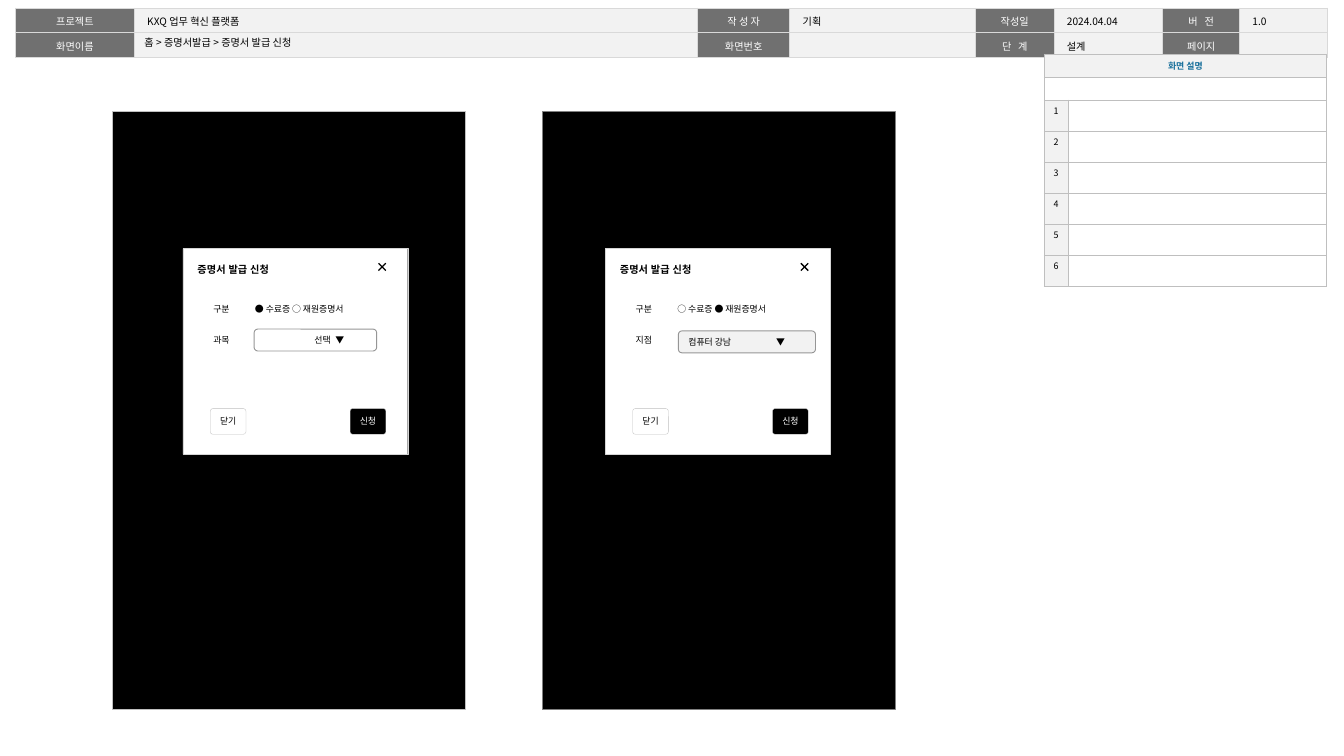
import pptx
import pptx.dml.color
import pptx.enum.shapes
import pptx.enum.text
import pptx.oxml
import pptx.oxml.ns
import pptx.util
from lxml import etree

COLORS = {
    "black": "000000", "white": "FFFFFF", "pale": "F2F2F2", "label": "707070",
    "header_line": "D9D9D9", "line": "BFBFBF", "frame": "808080",
    "dialog_line": "D5D5D5", "field_line": "969696", "heading": "176F9B",
}
SANS = "Noto Sans CJK KR"
ALIGN = pptx.enum.text.PP_ALIGN
ANCHOR = pptx.enum.text.MSO_ANCHOR
SHAPE = pptx.enum.shapes.MSO_SHAPE
TIGHT = (0.4, 0, 0.4, 0)


def color(name):
    return pptx.dml.color.RGBColor.from_string(COLORS[name])


def grid(count):
    """Length of a number of grid steps; the slide is 147 by 82.7 steps."""
    return pptx.util.Inches(count / 10)


def sub(parent, tag, **attributes):
    return etree.SubElement(parent, pptx.oxml.ns.qn(tag), attributes)


class Wireframe:
    def __init__(self, deck):
        self.page = deck.slides.add_slide(deck.slide_layouts[5])
        self.shapes = self.page.shapes

    def style(self, para, size=7, ink="black", font=SANS, bold=False, align=ALIGN.LEFT):
        para.alignment = align
        para.font.size = pptx.util.Pt(size)
        para.font.bold = bold
        para.font.name = font
        para.font.color.rgb = color(ink)
        sub(para.font._element, "a:ea", typeface=font)
        if not para.runs:
            sub(para._p, "a:endParaRPr", sz=str(size * 100))

    def frame(self, box, insets, anchor=ANCHOR.TOP, wrap=True):
        frame = box.text_frame
        frame.word_wrap = wrap
        frame.vertical_anchor = anchor
        (frame.margin_left, frame.margin_top,
         frame.margin_right, frame.margin_bottom) = map(grid, insets)
        return frame

    def title(self, text, left, top, width, height):
        """Place the title above everything drawn so far."""
        box = self.shapes.title
        box.left, box.top, box.width, box.height = map(grid, (left, top, width, height))
        frame = self.frame(box, (1.1, 0.5, 1.1, 0.5), ANCHOR.MIDDLE)
        frame.auto_size = pptx.enum.text.MSO_AUTO_SIZE.NONE
        frame.text = text
        self.style(frame.paragraphs[0], 8)
        self.shapes._spTree.append(box._element)

    def panel(self, kind, place, fill, line, weight, text="", insets=TIGHT,
              anchor=ANCHOR.MIDDLE, wrap=True, tabs=(), corner=None, **style):
        box = self.shapes.add_shape(kind, *map(grid, place))
        box.shadow.inherit = False
        box.fill.solid()
        box.fill.fore_color.rgb = color(fill)
        box.line.color.rgb = color(line)
        box.line.width = pptx.util.Pt(weight)
        if corner:
            box.adjustments[0] = corner
        if text:
            frame = self.frame(box, insets, anchor, wrap)
            frame.text = text
            para = frame.paragraphs[0]
            if tabs:
                stops = sub(para._p.get_or_add_pPr(), "a:tabLst")
                for stop in tabs:
                    sub(stops, "a:tab", pos=str(grid(stop)), algn="l")
            self.style(para, **style)

    def label(self, lines, place, align=ALIGN.LEFT, gap=0):
        box = self.shapes.add_textbox(*map(grid, place))
        frame = self.frame(box, (1, 0.5, 1, 0.5), wrap=False)
        frame.auto_size = pptx.enum.text.MSO_AUTO_SIZE.SHAPE_TO_FIT_TEXT
        frame.text = "\n".join(lines)
        for index, para in enumerate(frame.paragraphs):
            if index:
                para.space_before = pptx.util.Pt(gap)
            self.style(para, align=align)

    def cross(self, left, top, size):
        for start, end in ((top, top + size), (top + size, top)):
            line = self.shapes.add_connector(
                pptx.enum.shapes.MSO_CONNECTOR.STRAIGHT,
                grid(left), grid(start), grid(left + size), grid(end))
            line.line.color.rgb = color("black")
            line.line.width = pptx.util.Pt(1)
            sub(line._element.spPr, "a:effectLst")

    def table(self, left, top, columns, rows):
        table = self.shapes.add_table(
            len(rows), len(columns), grid(left), grid(top),
            grid(sum(columns)), grid(sum(rows))).table
        table.first_row = table.horz_banding = False
        for parts, sizes in ((table.columns, columns), (table.rows, rows)):
            for part, size in zip(parts, sizes):
                if parts is table.columns:
                    part.width = grid(size)
                else:
                    part.height = grid(size)
        return table

    def cell(self, cell, text, fill, line, weight, side, spacing=None, tracking=0,
             anchor=ANCHOR.TOP, **style):
        properties = cell._tc.get_or_add_tcPr()
        for edge in ("a:lnL", "a:lnR", "a:lnT", "a:lnB"):
            border = sub(properties, edge, w=str(pptx.util.Pt(weight)))
            sub(sub(border, "a:solidFill"), "a:srgbClr", val=COLORS[line])
        cell.fill.solid()
        cell.fill.fore_color.rgb = color(fill)
        cell.margin_left = cell.margin_right = grid(side)
        cell.margin_top = cell.margin_bottom = grid(0.5)
        cell.vertical_anchor = anchor
        cell.text = text
        para = cell.text_frame.paragraphs[0]
        if spacing:
            para.line_spacing = spacing
        self.style(para, **style)
        if tracking:
            para.runs[0]._r.get_or_add_rPr().set("spc", str(tracking))

    def header(self, rows):
        table = self.table(1.7, 0.9, (13, 61.6, 10.1, 20.3, 8.6, 11.9, 8.4, 9.6), (2.4, 2.4))
        for row, texts in enumerate(rows):
            for column, text in enumerate(texts):
                name = column % 2 == 0
                self.cell(table.cell(row, column), text, "label" if name else "pale",
                          "header_line", 1, 1.4, spacing=1.05, size=8,
                          tracking=180 if text in ("버 전", "단 계") else 0,
                          ink="white" if name else "black",
                          align=ALIGN.CENTER if name else ALIGN.LEFT)

    def description(self, heading, count):
        table = self.table(114.2, 5.9, (2.6, 28.3), (2.5, 2.5) + (3.4,) * count)
        for row in range(count + 2):
            wide = row < 2
            if wide:
                table.cell(row, 0).merge(table.cell(row, 1))
            for column in range(2):
                text = "" if column or row == 1 else heading if row == 0 else str(row - 1)
                shaded = row == 0 or (column == 0 and not wide)
                self.cell(table.cell(row, column), text, "pale" if shaded else "white",
                          "line", 0.25, 0.4, align=ALIGN.CENTER, bold=row == 0,
                          ink="heading" if row == 0 else "black",
                          anchor=ANCHOR.MIDDLE if wide else ANCHOR.TOP)

    def dialog(self, left, labels, options, field, field_place, field_fill, tabs):
        """Draw one request dialog; its parts are placed from its left edge."""
        self.panel(SHAPE.RECTANGLE, (left, 27.2, 24.6, 22.5), "white", "dialog_line", 0.25,
                   "증명서 발급 신청", (1.6, 1.6, 0.8, 0.8), ANCHOR.TOP, False,
                   size=8, font="Arial", bold=True)
        offset, top, width = field_place
        self.panel(SHAPE.ROUNDED_RECTANGLE, (left + offset, top, width, 2.4), field_fill,
                   "field_line", 0.75, field, (1, 0.4, 1, 0.4), tabs=tabs)
        for text, shift, fill, ink in (("신청", 18.3, "black", "white"),
                                       ("닫기", 3, "white", "black")):
            self.panel(SHAPE.ROUNDED_RECTANGLE, (left + shift, 44.7, 3.9, 2.8), fill, "line",
                       0.25, text, wrap=False, corner=0.1, ink=ink, font="Arial",
                       align=ALIGN.CENTER)
        self.cross(left + 21.4, 28.8, 0.8)
        self.label(labels, (left + 2.1, 32.7, 4, 5.7), ALIGN.RIGHT, gap=16)
        self.label([options], (left + 6.9, 32.7, 12.9, 2.2))


def main():
    deck = pptx.Presentation()
    deck.slide_width, deck.slide_height = grid(147), grid(82.7)
    wireframe = Wireframe(deck)
    wireframe.header((
        ("프로젝트", "KXQ 업무 혁신 플랫폼", "작 성 자", "기획", "작성일", "2024.04.04", "버 전", "1.0"),
        ("화면이름", "", "화면번호", "", "단 계", "설계", "페이지", ""),
    ))
    for left, line in ((12.3, "line"), (59.3, "frame")):
        wireframe.panel(SHAPE.RECTANGLE, (left, 12.2, 38.6, 65.4), "black", line, 0.5)
    wireframe.title("홈 > 증명서발급 > 증명서 발급 신청", 14.7, 3.8, 38.5, 1.6)
    wireframe.description("화면 설명", 6)
    wireframe.dialog(20, ("구분", "과목"), "● 수료증 ○ 재원증명서",
                     "\t선택\t▼", (7.8, 36, 13.4), "white", (5.5, 7.8))
    wireframe.dialog(66.2, ("구분", "지점"), "○ 수료증 ● 재원증명서",
                     "컴퓨터 강남\t▼", (8, 36.2, 15), "pale", (9.6,))
    deck.save("out.pptx")


if __name__ == "__main__":
    main()
